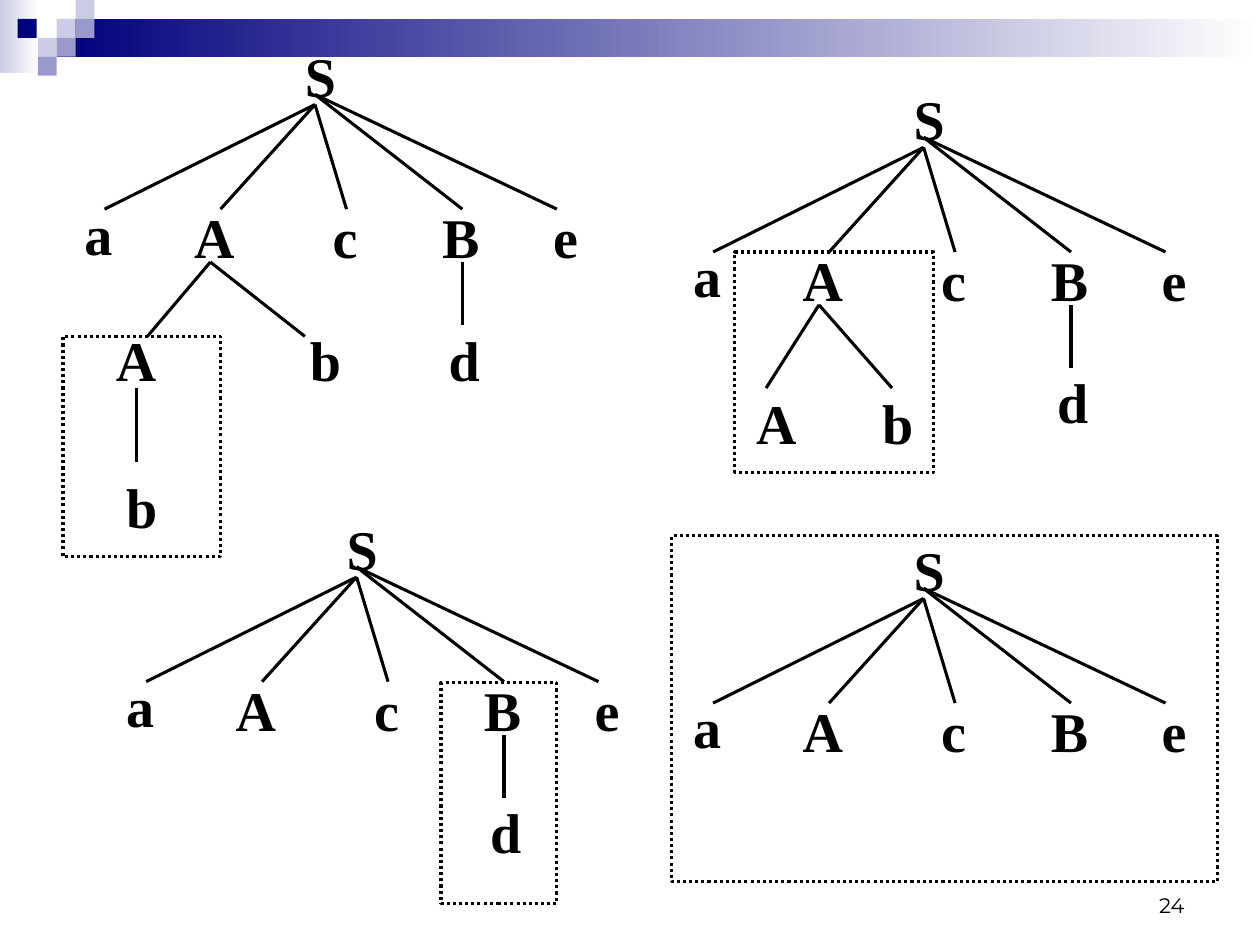
"""Build a slide of four parse trees with the handle of each one boxed."""
from lxml import etree
from pptx import Presentation
from pptx import util as u
from pptx.dml.color import RGBColor
from pptx.enum import dml, shapes, text
from pptx.oxml.ns import qn

hue = RGBColor.from_string
inch = u.Inches


def write(word, x, y, wide, high=0.53, size=32, face="Times New Roman"):
    box = slide.shapes.add_textbox(inch(x), inch(y), inch(wide), inch(high))
    frame = box.text_frame
    frame.text = word
    frame.margin_left = frame.margin_right = 0
    frame.margin_top = frame.margin_bottom = 0
    frame.word_wrap = False
    frame.auto_size = text.MSO_AUTO_SIZE.SHAPE_TO_FIT_TEXT
    para = frame.paragraphs[0]
    para.alignment = text.PP_ALIGN.JUSTIFY
    font = para.runs[0].font
    font.name, font.size, font.bold = face, u.Pt(size), True
    font.color.rgb = hue("000000")
    return frame


def join(x1, y1, x2, y2):
    edge = slide.shapes.add_connector(
        shapes.MSO_CONNECTOR.STRAIGHT, inch(x1), inch(y1), inch(x2), inch(y2))
    edge.line.color.rgb = hue("000000")
    edge.line.width = u.Pt(1.75)
    etree.SubElement(edge._element.spPr, qn("a:effectLst"))


deck = Presentation()
deck.slide_width, deck.slide_height = inch(10), inch(7.5)
slide = deck.slides.add_slide(deck.slide_layouts[6])

bands = [
    (0, 0, 0.31, 0.58, "CCCCE6"),
    (0.45, 0.15, 9.55, 0.3, "00007D"),
]
for x, y, wide, high, tone in bands:
    band = slide.shapes.add_shape(
        shapes.MSO_SHAPE.RECTANGLE, inch(x), inch(y), inch(wide), inch(high))
    band.shadow.inherit = False
    band.line.fill.background()
    band.fill.gradient()
    band.fill.gradient_angle = 0
    for stop, shade in zip(band.fill.gradient_stops, (tone, "FFFFFF")):
        stop.color.rgb = hue(shade)

side = 0.15
tiles = [
    (0.45, 0.15, "CCCCE6"), (0.6, 0, "CCCCE6"), (0.6, 0.15, "9999CC"),
    (0.3, 0.3, "CCCCE6"), (0.14, 0.15, "00007D"), (0.45, 0.3, "9999CC"),
    (0.3, 0.45, "9999CC"),
]
for x, y, tone in tiles:
    tile = slide.shapes.add_shape(
        shapes.MSO_SHAPE.RECTANGLE, inch(x), inch(y), inch(side), inch(side))
    tile.shadow.inherit = False
    tile.line.fill.background()
    tile.fill.solid()
    tile.fill.fore_color.rgb = hue(tone)

width = {"S": 0.25, "a": 0.22, "A": 0.32, "c": 0.2, "B": 0.3, "e": 0.2,
         "b": 0.25, "d": 0.25}
leaves = [
    ("a", -1.83, 0.75, -1.67, 0),
    ("A", -0.96, 0.78, -0.75, 0),
    ("c", 0.14, 0.78, 0.25, 0),
    ("B", 1.01, 0.78, 1.17, -0.08),
    ("e", 1.89, 0.78, 1.92, -0.08),
]
trees = [(2.5, 0.83, True), (7.33, 1.17, True),
         (2.83, 4.58, True), (7.33, 4.75, False)]
for x, y, deep in trees:
    write("S", x - 0.08, y - 0.5, width["S"])
    for word, left, top, end, start in leaves:
        join(x, y + start, x + end, y + 0.83)
        write(word, x + left, y + top, width[word])
    if deep:
        join(x + 1.17, y + 1.25, x + 1.17, y + 1.75)
        write("d", x + 1.06, y + 1.75, width["d"])

twigs = [
    (1.67, 2.08, 1.17, 2.67), (1.67, 2.08, 2.42, 2.67),
    (1.08, 3.08, 1.08, 3.67),
    (6.5, 2.42, 6.08, 3.08), (6.5, 2.42, 7.08, 3.08),
]
for twig in twigs:
    join(*twig)

nodes = [("A", 0.92, 2.58), ("b", 2.46, 2.58), ("b", 1, 3.75),
         ("A", 6, 3.08), ("b", 7, 3.08)]
for word, x, y in nodes:
    write(word, x, y, width[word])

handles = [(0.5, 2.67, 1.25, 1.75), (5.83, 2, 1.58, 1.75),
           (3.5, 5.42, 0.92, 1.75), (5.33, 4.25, 4.33, 2.75)]
for x, y, wide, high in handles:
    frame = slide.shapes.add_shape(
        shapes.MSO_SHAPE.RECTANGLE, inch(x), inch(y), inch(wide), inch(high))
    frame.shadow.inherit = False
    frame.fill.background()
    frame.line.color.rgb = hue("000000")
    frame.line.width = u.Pt(1.75)
    frame.line.dash_style = dml.MSO_LINE.ROUND_DOT

page = write("24", 7.17, 6.83, 2.33, 0.5, 12, "Montserrat")
page.auto_size = text.MSO_AUTO_SIZE.NONE
page.word_wrap = True
page.margin_left = page.margin_right = inch(0.1)
page.margin_top = page.margin_bottom = inch(0.05)
page.vertical_anchor = text.MSO_ANCHOR.BOTTOM
page.paragraphs[0].alignment = text.PP_ALIGN.RIGHT
page.paragraphs[0].runs[0].font.bold = False

deck.save("out.pptx")
